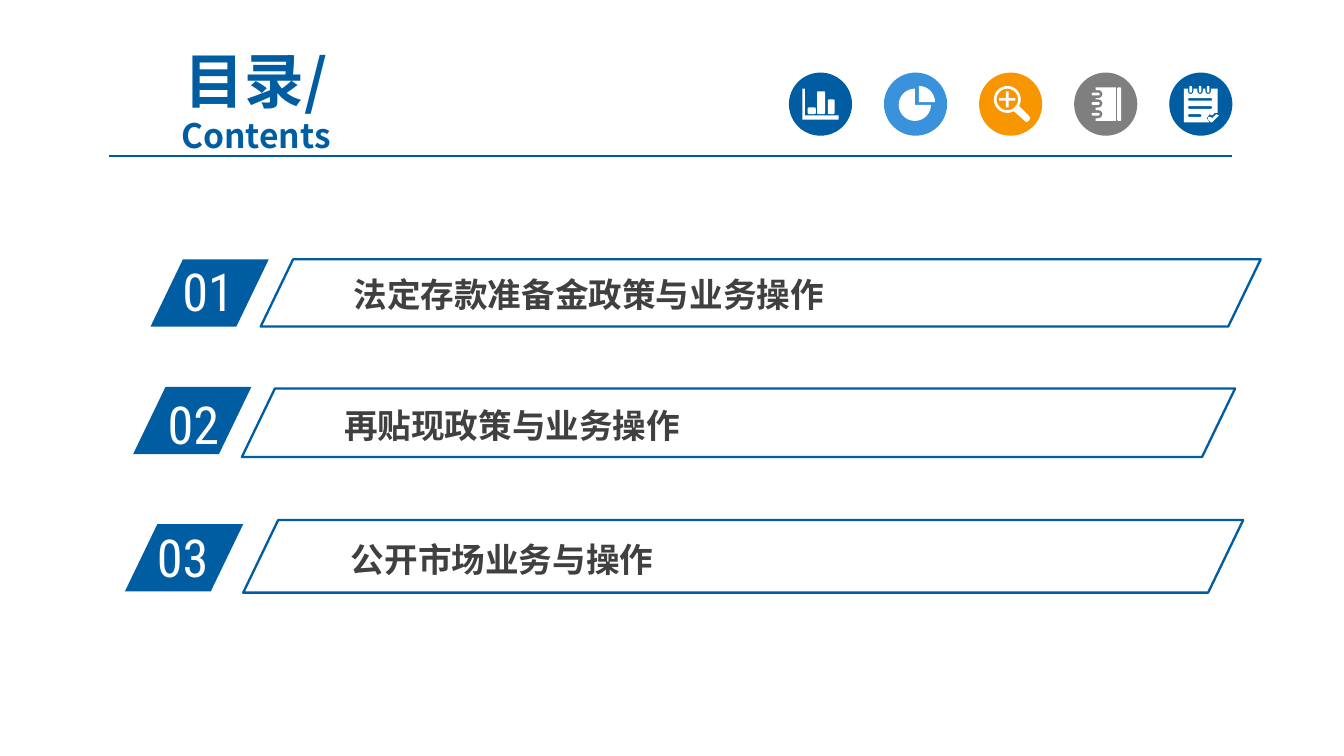
from math import cos, radians, sin

from lxml import etree
from pptx import Presentation
from pptx import util as u
from pptx.dml.color import RGBColor
from pptx.enum import shapes, text
from pptx.oxml.ns import qn

BLUE, SKY, ORANGE, GRAY = "005DA2", "3992DB", "F79600", "7F7F7F"
WHITE, DARK = "FFFFFF", "404040"
CJK, CONDENSED = "Noto Sans CJK SC", "Roboto Condensed"

ROWS = [
    ("01", (1.12, 1.93), (1.26, 1.88), (1.94, 1.93, 7.44, 0.5),
     "法定存款准备金政策与业务操作", (2.56, 2, 5.97, 0.38)),
    ("02", (0.99, 2.88), (1.15, 2.87), (1.8, 2.89, 7.39, 0.51),
     "再贴现政策与业务操作", (2.49, 2.97, 6.2, 0.38)),
    ("03", (0.93, 3.9), (1.07, 3.86), (1.81, 3.87, 7.44, 0.54),
     "公开市场业务与操作", (2.54, 3.97, 6.88, 0.38)),
]


def color(value):
    return RGBColor.from_string(value)


def inches(values):
    return [u.Inches(value) for value in values]


def add_text(page, lines, area, font=CJK, fill=DARK, bold=False, align=None,
             anchor=text.MSO_ANCHOR.TOP, inset=(0.1, 0.05), grow=True):
    box = page.shapes.add_textbox(*inches(area))
    frame = box.text_frame
    frame.word_wrap = True
    frame.vertical_anchor = anchor
    frame.margin_left = frame.margin_right = u.Inches(inset[0])
    frame.margin_top = frame.margin_bottom = u.Inches(inset[1])
    if grow:
        frame.auto_size = text.MSO_AUTO_SIZE.SHAPE_TO_FIT_TEXT
    para = frame.paragraphs[0]
    para.alignment = align
    for index, (words, size) in enumerate(lines):
        if index:
            para.add_line_break()
        span = para.add_run()
        span.text = words
        span.font.size = u.Pt(size)
        span.font.name = font
        span.font.bold = bold
        span.font.color.rgb = color(fill)
        etree.SubElement(span.font._element, qn("a:ea"), typeface=font)


def paint(shape, fill=None, line=None):
    shape.shadow.inherit = False
    if fill:
        shape.fill.solid()
        shape.fill.fore_color.rgb = color(fill)
    else:
        shape.fill.background()
    if line:
        shape.line.color.rgb = color(line)
        shape.line.width = u.Pt(1.25)
    else:
        shape.line.fill.background()


def add_parallelogram(page, area, **style):
    shape = page.shapes.add_shape(shapes.MSO_SHAPE.PARALLELOGRAM, *inches(area))
    shape.adjustments[0] = 0.482
    paint(shape, **style)


def add_rule(page, start, end):
    rule = page.shapes.add_connector(shapes.MSO_CONNECTOR.STRAIGHT, *inches(start + end))
    rule.line.color.rgb = color("005B9E")
    rule.line.width = u.Pt(0.75)
    etree.SubElement(rule._element.spPr, qn("a:effectLst"))


def arc(x, y, radius, start=0, end=360):
    steps = max(6, (end - start) // 10)
    angles = [radians(start + (end - start) * i / steps) for i in range(steps + 1)]
    return [(x + radius * cos(a), y + radius * sin(a)) for a in angles]


def bar(left, top, width, height, radius=0.01):
    right, bottom = left + width - radius, top + height - radius
    left, top = left + radius, top + radius
    return (arc(left, top, radius, 180, 270) + arc(right, top, radius, 270, 360)
            + arc(right, bottom, radius, 0, 90) + arc(left, bottom, radius, 90, 180))


def bar_chart_icon():
    axes = [(0.1, 0.12), (0.12, 0.12), (0.12, 0.32), (0.37, 0.32), (0.37, 0.35), (0.1, 0.35)]
    return [axes, bar(0.14, 0.26, 0.06, 0.05), bar(0.21, 0.14, 0.06, 0.17),
            bar(0.29, 0.2, 0.05, 0.11)]


def pie_icon():
    return [[(0.26, 0.22)] + arc(0.26, 0.22, 0.12, -90, 0),
            [(0.23, 0.24)] + arc(0.23, 0.24, 0.12, 0, 270)]


def magnifier_icon():
    x, y, reach, half = 0.21, 0.2, 0.06, 0.01
    handle = [(0.37, 0.32), (0.38, 0.34), (0.37, 0.36), (0.35, 0.37), (0.34, 0.36)]
    plus = [(-reach, -half), (-half, -half), (-half, -reach), (half, -reach),
            (half, -half), (reach, -half), (reach, half), (half, half),
            (half, reach), (-half, reach), (-half, half), (-reach, half)]
    return [arc(x, y, 0.1, 61, 389) + handle, arc(x, y, 0.08),
            [(x + dx, y + dy) for dx, dy in plus]]


def notebook_icon():
    rings = [0.16, 0.23, 0.31]
    cover = [(0.31, 0.36), (0.31, 0.11), (0.16, 0.11)]
    for y in rings:
        cover += [(0.16, y - 0.03)] + arc(0.18, y, 0.03, -90, 90) + [(0.16, y + 0.03)]
    cover.append((0.16, 0.36))
    return [cover, bar(0.32, 0.11, 0.03, 0.25)] + [bar(0.13, y - 0.01, 0.06, 0.02) for y in rings]


def notepad_icon():
    rings = [0.16, 0.23, 0.29]
    sheet = [(0.11, 0.37), (0.11, 0.12)]
    for x in rings:
        sheet += [(x - 0.02, 0.12)] + arc(x, 0.14, 0.02, 180, 0) + [(x + 0.02, 0.12)]
    sheet += [(0.36, 0.12), (0.36, 0.3), (0.34, 0.3), (0.32, 0.32), (0.3, 0.31),
              (0.28, 0.34), (0.3, 0.37)]
    check = [(0.36, 0.33), (0.32, 0.37), (0.31, 0.37), (0.29, 0.35), (0.29, 0.33),
             (0.31, 0.33), (0.32, 0.34), (0.35, 0.31), (0.37, 0.32)]
    lines = [bar(0.14, 0.19 + 0.06 * i, width, 0.02) for i, width in enumerate((0.18, 0.18, 0.1))]
    return [sheet, check] + lines + [bar(x - 0.01, 0.1, 0.02, 0.05) for x in rings]


def add_icon(page, left, top, fill, outlines):
    disc = page.shapes.add_shape(shapes.MSO_SHAPE.OVAL, *inches((left, top, 0.47, 0.47)))
    paint(disc, fill)
    builder = None
    for outline in outlines:
        points = [inches((left + x, top + y)) for x, y in outline]
        if builder is None:
            builder = page.shapes.build_freeform(*points[0])
        else:
            builder.move_to(*points[0])
        builder.add_line_segments(points[1:], close=True)
    paint(builder.convert_to_shape(), WHITE)


def add_row(page, number, tab, number_at, frame, topic, topic_area):
    add_parallelogram(page, tab + (0.88, 0.5), fill=BLUE)
    add_text(page, [(number, 28)], number_at + (0.84, 0.57), font=CONDENSED, fill=WHITE)
    add_text(page, [(topic, 18)], topic_area, bold=True, inset=(0.07, 0.04))
    add_parallelogram(page, frame, line=BLUE)


def main():
    deck = Presentation()
    deck.slide_width = u.Inches(10)
    deck.slide_height = u.Inches(10 * 9 / 16)
    page = deck.slides.add_slide(deck.slide_layouts[6])
    add_text(page, [("目录/", 32), ("Contents", 18)], (0.67, 0.47, 2.47, 0.54), fill=BLUE,
             bold=True, align=text.PP_ALIGN.CENTER, anchor=text.MSO_ANCHOR.MIDDLE, grow=False)
    add_rule(page, (0.81, 1.16), (9.17, 1.16))
    for row in ROWS:
        add_row(page, *row)
    icons = [(BLUE, bar_chart_icon), (SKY, pie_icon), (ORANGE, magnifier_icon),
             (GRAY, notebook_icon), (BLUE, notepad_icon)]
    first, last = 5.87, 8.7
    step = (last - first) / (len(icons) - 1)
    for index, (fill, draw) in enumerate(icons):
        add_icon(page, first + step * index, 0.54, fill, draw())
    deck.save("out.pptx")


if __name__ == "__main__":
    main()
